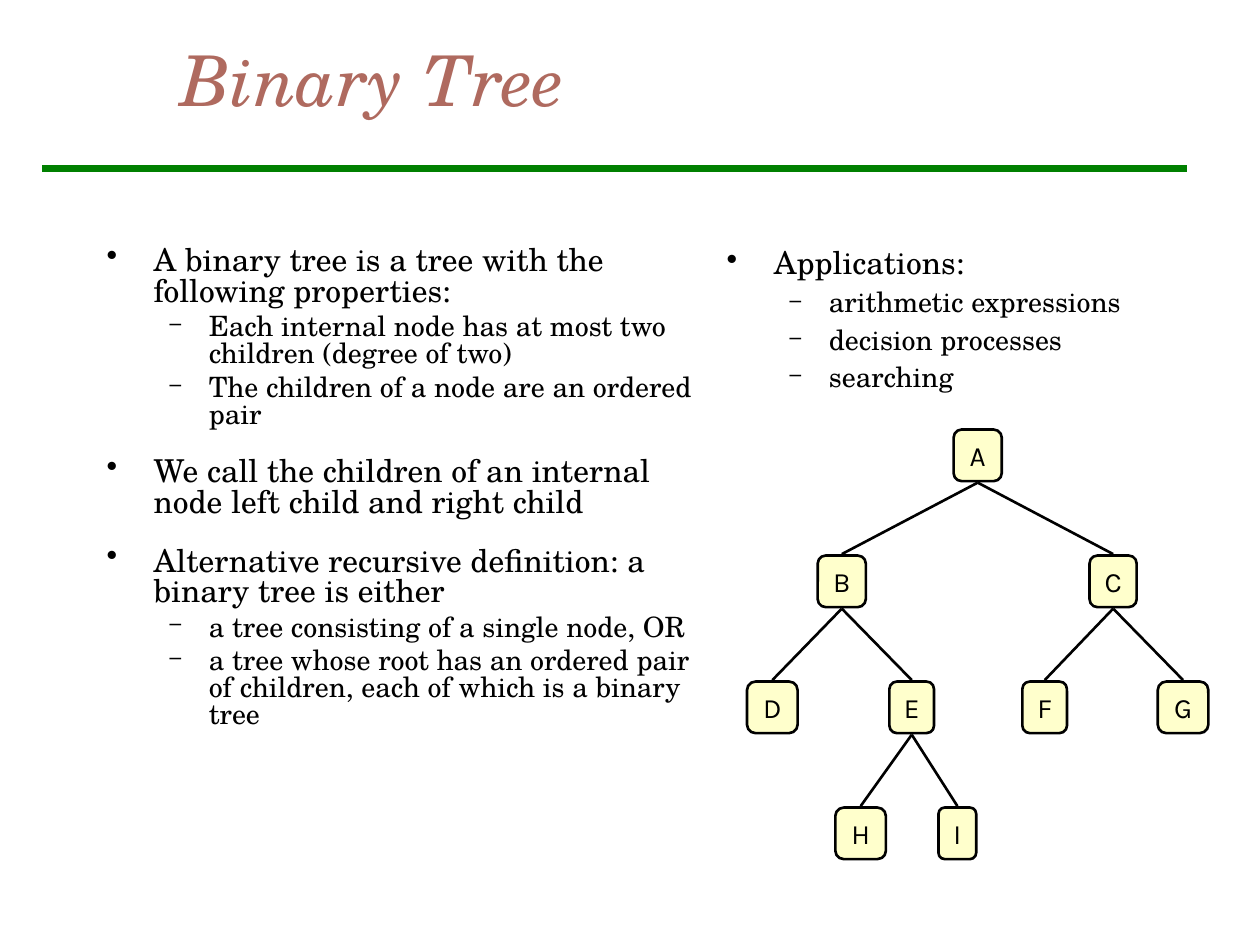
from lxml import etree
from pptx import Presentation
from pptx import util as u
from pptx.dml.color import RGBColor
from pptx.enum import shapes, text
from pptx.oxml import ns

BLACK = RGBColor(0x00, 0x00, 0x00)
GREEN = RGBColor(0x00, 0x80, 0x00)
ROSE = RGBColor(0xAF, 0x6A, 0x5F)
CREAM = RGBColor(0xFF, 0xFF, 0xCC)
SERIF, SANS = "TeX Gyre Schola", "Karla"

# For each level: left margin and hanging indent in cm, bullet, its size in %,
# text size and space before in points
LEVELS = [(0.95, 0.95, "•", 100, 18, 4.5), (2.06, 0.79, "–", 75, 16, 4)]
GROUP_GAP = 16.5

DEFINITION = [
    (0, "A binary tree is a tree with the following properties:"),
    (1, "Each internal node has at most two children (degree of two)"),
    (1, "The children of a node are an ordered pair"),
    (0, "We call the children of an internal node left child and right child"),
    (0, "Alternative recursive definition: a binary tree is either"),
    (1, "a tree consisting of a single node, OR"),
    (1, "a tree whose root has an ordered pair of children, each of which is a binary tree"),
]
APPLICATIONS = [
    (0, "Applications:"),
    (1, "arithmetic expressions"),
    (1, "decision processes"),
    (1, "searching"),
]

# Name: (depth, centre from the left of the tree, width), in cm
NODES = {
    "A": (0, 4.65, 0.97),
    "B": (1, 1.91, 0.97), "C": (1, 7.38, 0.95),
    "D": (2, 0.51, 1.02), "E": (2, 3.32, 0.9),
    "F": (2, 6.0, 0.9), "G": (2, 8.79, 1.02),
    "H": (3, 2.29, 1.02), "I": (3, 4.24, 0.76),
}
CHILDREN = {"A": "BC", "B": "DE", "C": "FG", "E": "HI"}
NODE_HEIGHT, LEVEL_STEP, EDGE_GAP = 1.04, 2.54, 0.03


def style(para, name, size, color):
    para.font.name = name
    para.font.size = u.Pt(size)
    para.font.color.rgb = color


def add_line(page, start, end, color, width):
    line = page.shapes.add_connector(
        shapes.MSO_CONNECTOR.STRAIGHT, *(u.Cm(value) for value in (*start, *end)))
    line.line.color.rgb = color
    line.line.width = u.Pt(width)
    etree.SubElement(line._element.spPr, ns.qn("a:effectLst"))


def add_text_frame(page, box):
    frame = page.shapes.add_textbox(*(u.Cm(value) for value in box)).text_frame
    frame.word_wrap = True
    return frame


def add_title(page, box):
    frame = add_text_frame(page, box)
    frame.vertical_anchor = text.MSO_ANCHOR.MIDDLE
    para = frame.paragraphs[0]
    para.text = "Binary Tree"
    style(para, SERIF, 40, ROSE)
    para.font.italic = True


def set_bullet(para, margin, hanging, char, percent):
    props = para._p.get_or_add_pPr()
    props.set("marL", str(u.Cm(margin)))
    props.set("indent", str(-u.Cm(hanging)))
    color = etree.SubElement(props, ns.qn("a:buClr"))
    etree.SubElement(color, ns.qn("a:srgbClr"), val=str(BLACK))
    etree.SubElement(props, ns.qn("a:buSzPct"), val=str(percent * 1000))
    etree.SubElement(props, ns.qn("a:buChar"), char=char)


def add_bullets(page, box, items, line_spacing):
    """Two-level list, with a wider gap before each later top-level item."""
    frame = add_text_frame(page, box)
    for index, (level, wording) in enumerate(items):
        para = frame.paragraphs[0] if index == 0 else frame.add_paragraph()
        para.text = wording
        para.level = level
        margin, hanging, char, percent, size, before = LEVELS[level]
        set_bullet(para, margin, hanging, char, percent)
        para.line_spacing = line_spacing
        if index:
            para.space_before = u.Pt(before if level else GROUP_GAP)
        style(para, SERIF, size, BLACK)


def add_node(page, name, left, top, width):
    node = page.shapes.add_shape(
        shapes.MSO_SHAPE.ROUNDED_RECTANGLE,
        *(u.Cm(value) for value in (left, top, width, NODE_HEIGHT)))
    node.shadow.inherit = False
    node.fill.solid()
    node.fill.fore_color.rgb = CREAM
    node.line.color.rgb = BLACK
    node.line.width = u.Pt(1.5)
    frame = node.text_frame
    frame.word_wrap = False
    frame.vertical_anchor = text.MSO_ANCHOR.MIDDLE
    para = frame.paragraphs[0]
    para.text = name
    para.alignment = text.PP_ALIGN.CENTER
    style(para, SANS, 16, BLACK)


def add_tree(page, left, top):
    for name, (depth, centre, width) in NODES.items():
        add_node(page, name, left + centre - width / 2, top + depth * LEVEL_STEP, width)
    for parent, names in CHILDREN.items():
        depth, centre, _ = NODES[parent]
        start = (left + centre, top + depth * LEVEL_STEP + NODE_HEIGHT + EDGE_GAP)
        for name in names:
            child_depth, child_centre, _ = NODES[name]
            end = (left + child_centre, top + child_depth * LEVEL_STEP - EDGE_GAP)
            add_line(page, start, end, BLACK, 1.5)


def main():
    deck = Presentation()
    deck.slide_width, deck.slide_height = u.Cm(25.4), u.Cm(19.05)
    page = deck.slides.add_slide(deck.slide_layouts[6])
    add_line(page, (0.85, 3.39), (23.92, 3.39), GREEN, 4)
    add_title(page, (3.39, 0, 21.59, 3.18))
    add_bullets(page, (1.9, 4.87, 12.5, 11.85), DEFINITION, 0.8)
    add_bullets(page, (14.4, 4.87, 9.1, 4.23), APPLICATIONS, 0.9)
    add_tree(page, 15.06, 8.66)
    deck.save("out.pptx")


if __name__ == "__main__":
    main()
